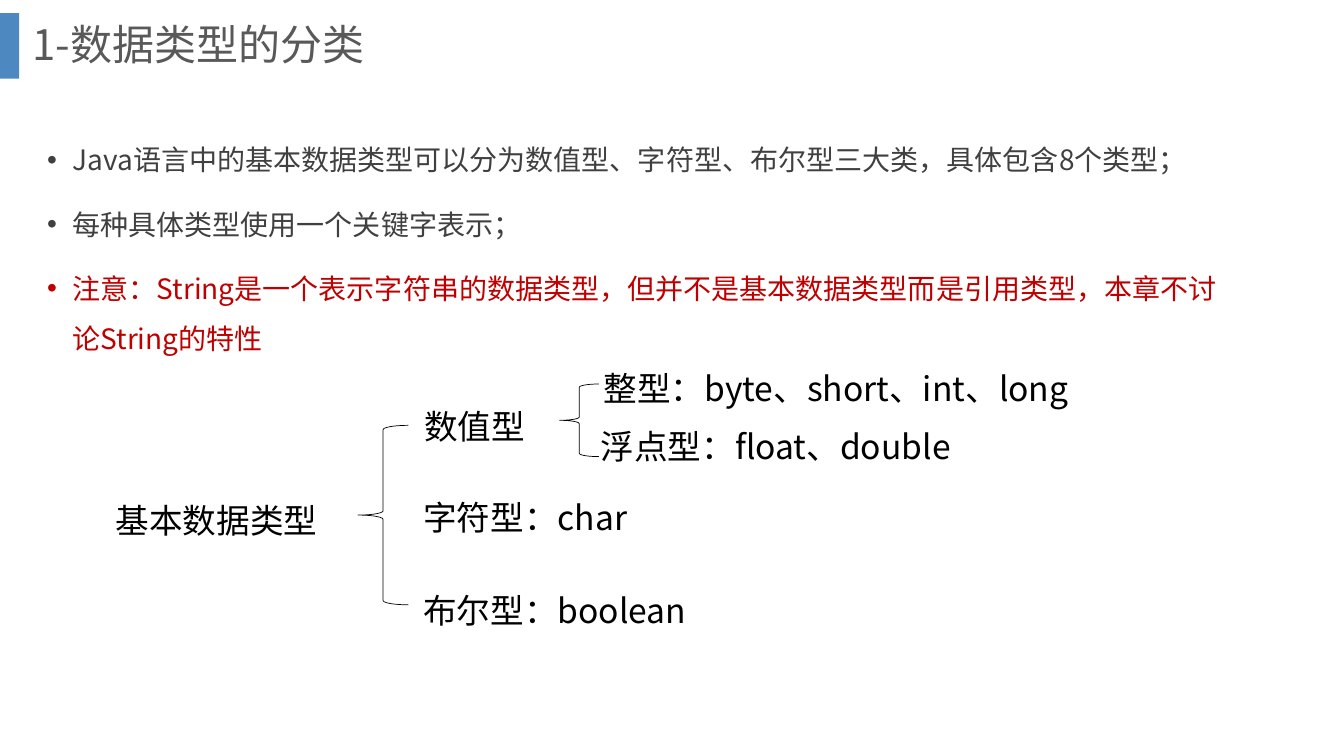
from dataclasses import dataclass

from lxml import etree
from pptx import Presentation
from pptx.dml.color import RGBColor
from pptx.enum.shapes import MSO_SHAPE
from pptx.enum.text import MSO_ANCHOR, PP_ALIGN
from pptx.oxml.ns import qn
from pptx.util import Inches, Pt

RECTANGLE, LEFT_BRACE = MSO_SHAPE.RECTANGLE, MSO_SHAPE.LEFT_BRACE
LEFT, TOP, MIDDLE = PP_ALIGN.LEFT, MSO_ANCHOR.TOP, MSO_ANCHOR.MIDDLE


@dataclass(frozen=True)
class Theme:
    font: str = "Noto Sans CJK SC"
    accent: str = "2E75B6"
    title: str = "595959"
    body: str = "404040"
    warning: str = "C00000"
    ink: str = "000000"
    title_size: int = 30
    body_size: int = 20
    label_size: int = 24


THEME = Theme()

POINTS = [
    ("Java语言中的基本数据类型可以分为数值型、字符型、布尔型三大类，具体包含8个类型；", THEME.body),
    ("每种具体类型使用一个关键字表示；", THEME.body),
    ("注意：String是一个表示字符串的数据类型，但并不是基本数据类型而是引用类型，"
     "本章不讨论String的特性", THEME.warning),
]

# Labels of the type tree: text, left, top, width
LABELS = [
    ("基本数据类型", 1.05, 4.91, 2.7),
    ("数值型", 4.11, 3.98, 2.7),
    ("字符型：char", 4.1, 4.88, 2.7),
    ("布尔型：boolean", 4.1, 5.8, 4.09),
    ("整型：byte、short、int、long", 5.89, 3.6, 5.77),
    ("浮点型：float、double", 5.86, 4.18, 5.64),
]
BRACES = [(3.55, 4.22, 0.5, 1.78), (5.55, 3.81, 0.39, 0.72)]


def write(para, text, *, size, color, spacing=1.0, before=0, bullet=False):
    """Fill a paragraph with one formatted run."""
    para.alignment = LEFT
    para.line_spacing = spacing
    para.space_before = Pt(before)
    if bullet:
        properties = para._p.get_or_add_pPr()
        properties.set("marL", str(Inches(0.25)))
        properties.set("indent", str(Inches(-0.25)))
        etree.SubElement(properties, qn("a:buFont"), typeface="Arial")
        etree.SubElement(properties, qn("a:buChar"), char="•")
    span = para.add_run()
    span.text = text
    span.font.size = Pt(size)
    span.font.name = THEME.font
    span.font.color.rgb = RGBColor.from_string(color)
    etree.SubElement(span.font._element, qn("a:ea"), typeface=THEME.font)


def add_text_box(page, left, top, width, height):
    box = page.shapes.add_textbox(*map(Inches, (left, top, width, height)))
    box.text_frame.word_wrap = True
    box.text_frame.vertical_anchor = TOP
    return box.text_frame


def add_title(page, text):
    title = page.shapes.title
    title.left, title.top, title.width, title.height = map(Inches, (0.22, 0, 12.66, 0.93))
    title.text_frame.vertical_anchor = MIDDLE
    write(title.text_frame.paragraphs[0], text, size=THEME.title_size,
          color=THEME.title, spacing=0.9)


def add_accent_bar(page):
    bar = page.shapes.add_shape(RECTANGLE, *map(Inches, (0, 0.13, 0.19, 0.65)))
    bar.shadow.inherit = False
    bar.fill.solid()
    bar.fill.fore_color.rgb = RGBColor.from_string(THEME.accent)
    bar.line.fill.background()
    color = bar.fill._xPr.find(".//" + qn("a:srgbClr"))
    etree.SubElement(color, qn("a:alpha"), val="85000")


def add_points(page):
    frame = add_text_box(page, 0.37, 1.2, 12.05, 2.41)
    for index, (text, color) in enumerate(POINTS):
        para = frame.add_paragraph() if index else frame.paragraphs[0]
        write(para, text, size=THEME.body_size, color=color, spacing=1.5,
              before=10 if index else 0, bullet=True)


def add_label(page, text, left, top, width):
    frame = add_text_box(page, left, top, width, 0.5)
    write(frame.paragraphs[0], text, size=THEME.label_size, color=THEME.ink)


def add_brace(page, left, top, width, height):
    brace = page.shapes.add_shape(LEFT_BRACE, *map(Inches, (left, top, width, height)))
    brace.shadow.inherit = False
    brace.fill.background()
    brace.line.color.rgb = RGBColor.from_string(THEME.ink)
    brace.line.width = Pt(0.5)


def main():
    deck = Presentation()
    deck.slide_width, deck.slide_height = Inches(13.33), Inches(7.5)
    page = deck.slides.add_slide(deck.slide_layouts[5])

    # Heading
    add_accent_bar(page)
    add_title(page, "1-数据类型的分类")

    # Bullet points
    add_points(page)

    # Type tree
    for label in LABELS:
        add_label(page, *label)
    for brace in BRACES:
        add_brace(page, *brace)

    deck.save("out.pptx")


if __name__ == "__main__":
    main()
